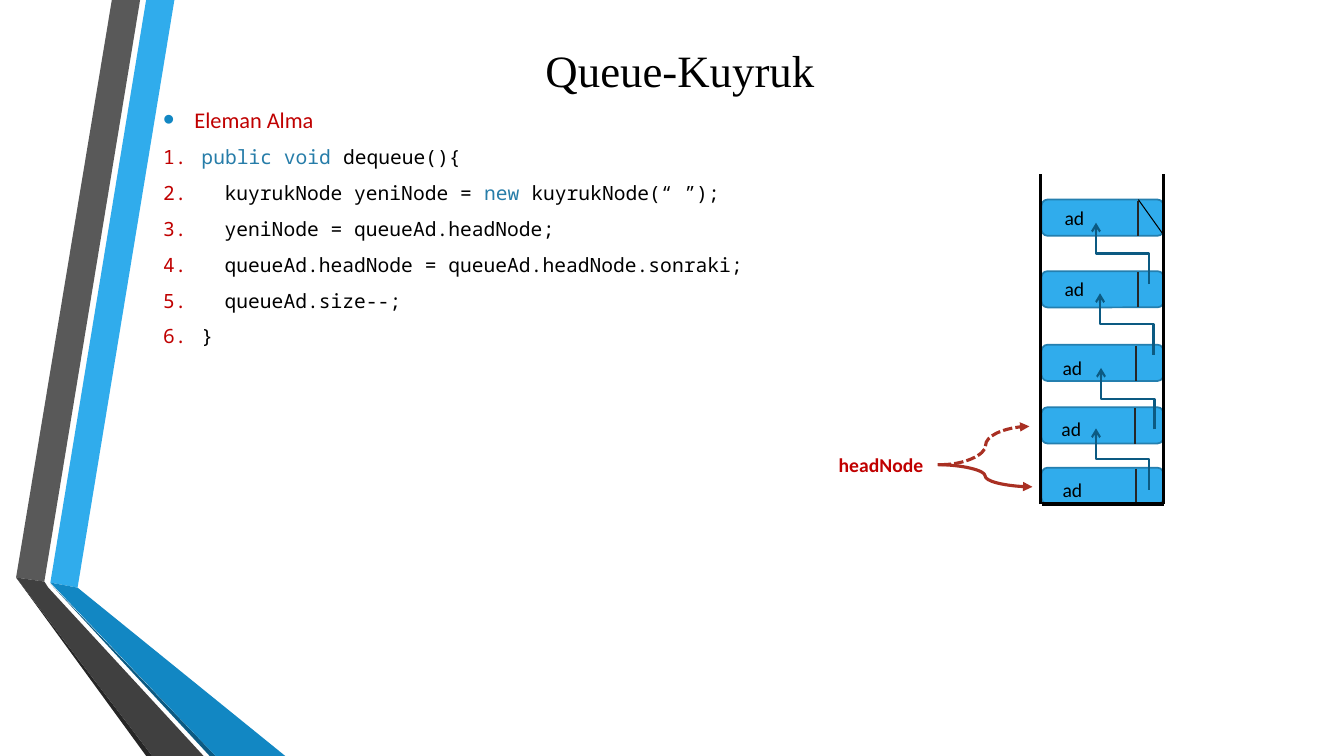
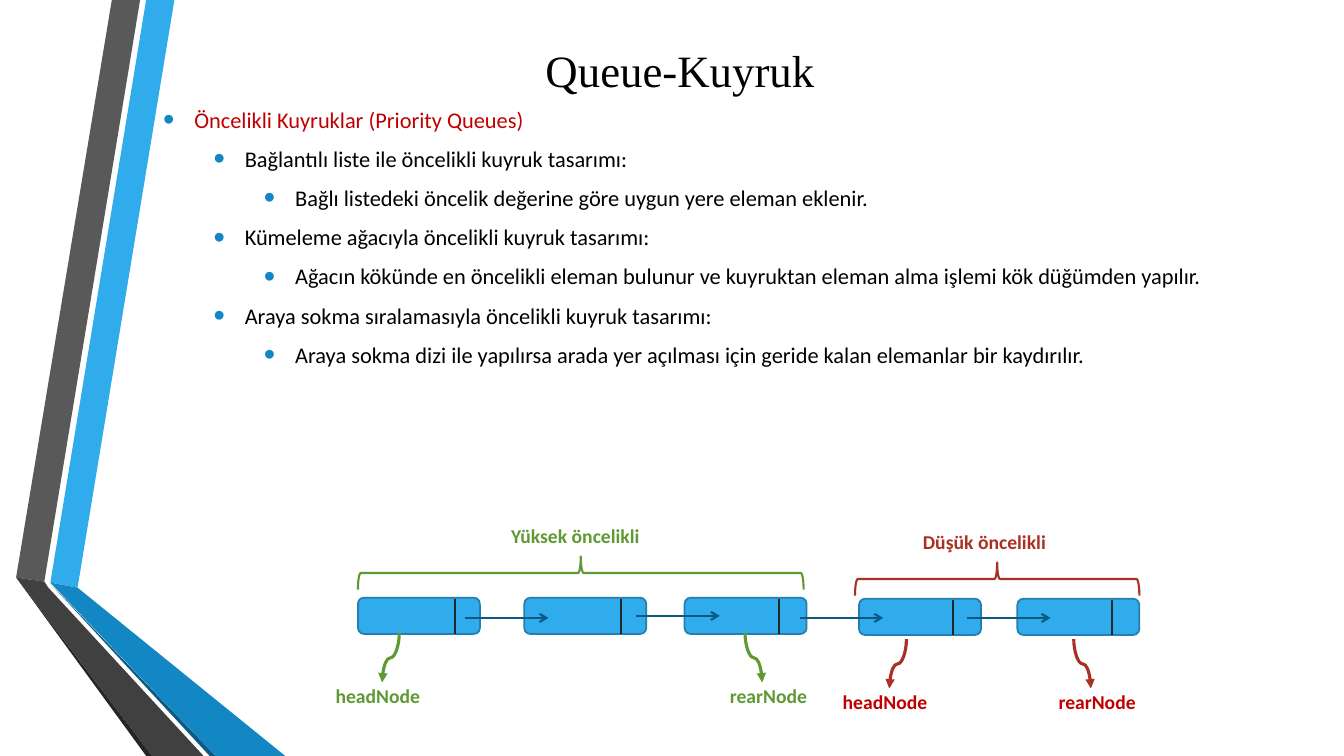
from dataclasses import dataclass

from lxml import etree
from pptx import Presentation
from pptx.dml.color import RGBColor
from pptx.enum.dml import MSO_LINE
from pptx.enum.shapes import MSO_CONNECTOR, MSO_SHAPE
from pptx.enum.text import MSO_ANCHOR, MSO_AUTO_SIZE, PP_ALIGN
from pptx.oxml.ns import qn
from pptx.util import Inches, Pt


@dataclass(frozen=True)
class Theme:
    """Colours, fonts and type sizes of the deck."""

    ink: str = "000000"
    red: str = "C00000"
    brick: str = "A93023"
    green: str = "5F9934"
    keyword: str = "277DA9"
    sky: str = "30ACEC"
    edge: str = "247FAF"
    blue: str = "1287C3"
    navy: str = "0C5A82"
    divider: str = "262626"
    slate: str = "595959"
    coal: str = "404040"
    title_font: str = "Times New Roman"
    body_font: str = "Calibri"
    code_font: str = "Noto Sans Mono"
    title_size: int = 32
    body_size: int = 16
    small_size: int = 14


THEME = Theme()
NODE_WIDTH, NODE_HEIGHT = 1.21, 0.36
RIBBONS = (
    (THEME.sky, ((0.5, 5.78), (0.77, 5.83), (1.73, 0), (1.45, 0))),
    (THEME.slate, ((1.39, 0), (1.11, 0), (0.16, 5.73), (0.44, 5.77))),
    (THEME.divider, ((0.16, 5.73), (1.45, 7.5), (1.51, 7.5))),
    (THEME.navy, ((0.5, 5.79), (2.08, 7.5), (2.14, 7.5))),
    (THEME.blue, ((0.5, 5.78), (2.14, 7.5), (2.83, 7.5), (0.77, 5.83))),
    (THEME.coal, ((2.02, 7.5), (0.48, 5.83), (0.44, 5.77), (0.16, 5.73), (1.51, 7.5))),
)


def colour(value):
    """Turn a hex value into a colour."""
    return RGBColor.from_string(value)


def add_child(parent, tag, **attributes):
    """Append a DrawingML element to parent."""
    child = etree.SubElement(parent, qn(tag))
    for name, value in attributes.items():
        child.set(name, str(value))
    return child


def style_span(span, size, value, font=THEME.body_font, bold=False):
    """Format one run."""
    span.font.name, span.font.size, span.font.bold = font, Pt(size), bold
    span.font.color.rgb = colour(value)


def add_ribbons(layout, page):
    """Draw the folded ribbons and hand them to the shared layout."""
    group = page.shapes.add_group_shape()
    for fill, points in RIBBONS:
        corners = [(Inches(x), Inches(y)) for x, y in points]
        builder = group.shapes.build_freeform(*corners[0], scale=1.0)
        builder.add_line_segments(corners[1:], close=True)
        ribbon = builder.convert_to_shape()
        ribbon.shadow.inherit = False
        ribbon.fill.solid()
        ribbon.fill.fore_color.rgb = colour(fill)
        ribbon.line.fill.background()
    layout.shapes.element.insert(2, group.element)


def place_title(page, text):
    """Move and format the title placeholder."""
    title = page.shapes.title
    title.left, title.top = Inches(1.55), Inches(0.17)
    title.width, title.height = Inches(10.39), Inches(1.04)
    frame = title.text_frame
    frame.text = text
    frame.auto_size = MSO_AUTO_SIZE.NONE
    frame.vertical_anchor = MSO_ANCHOR.MIDDLE
    para = frame.paragraphs[0]
    para.alignment = PP_ALIGN.CENTER
    style_span(para.runs[0], THEME.title_size, THEME.ink, THEME.title_font)


def add_body(page, left, top, width, height):
    """Add an empty wrapped text frame for the main text."""
    box = page.shapes.add_textbox(Inches(left), Inches(top), Inches(width), Inches(height))
    box.text_frame.word_wrap = True
    return box.text_frame


def start_para(frame, hang, margin, level=0):
    """Return the next paragraph, spaced and with a hanging indent."""
    first = frame.paragraphs[0]
    para = frame.add_paragraph() if first.runs else first
    para.level = level
    para.space_before, para.space_after = Pt(2.8), Pt(6)
    properties = para._p.get_or_add_pPr()
    properties.set("marL", str(Inches(margin)))
    properties.set("indent", str(-Inches(hang)))
    return para, properties


def add_bullet(frame, text, level=0):
    """Add a bulleted line; the top level is the red heading."""
    para, properties = start_para(frame, 0.31, 0.31 + level * 0.5, level)
    add_child(add_child(properties, "a:buClr"), "a:srgbClr", val=THEME.blue)
    add_child(properties, "a:buSzPct", val=145000)
    add_child(properties, "a:buFont", typeface="Arial")
    add_child(properties, "a:buChar", char="•")
    para.text = text
    style_span(para.runs[0], THEME.body_size, THEME.ink if level else THEME.red)


def add_code_line(frame, parts, depth):
    """Add a numbered code line made of (text, is_keyword) parts."""
    margin = 0.38 + depth * 0.23
    para, properties = start_para(frame, margin, margin)
    add_child(add_child(properties, "a:buClr"), "a:srgbClr", val=THEME.red)
    add_child(properties, "a:buFont", typeface=THEME.code_font)
    add_child(properties, "a:buAutoNum", type="arabicPeriod")
    for text, is_keyword in parts:
        span = para.add_run()
        span.text = text
        style_span(span, THEME.small_size, THEME.keyword if is_keyword else THEME.ink, THEME.code_font)


def add_label(page, left, top, width, text, value=THEME.ink, bold=True):
    """Add a one-line diagram label."""
    frame = add_body(page, left, top, width, 0.34)
    frame.text = text
    style_span(frame.paragraphs[0].runs[0], THEME.small_size, value, bold=bold)


def add_line(page, start, end, value, weight, kind=MSO_CONNECTOR.STRAIGHT, head=None, upright=False):
    """Add a connector; an upright one leaves and arrives vertically."""
    (x1, y1), (x2, y2) = start, end
    turn = 0
    if upright:
        across, down = x2 - x1, y2 - y1
        turn = 90 if across < 0 < down else 270
        run, rise = (down, -across) if turn == 90 else (-down, across)
        middle_x, middle_y = (x1 + x2) / 2, (y1 + y2) / 2
        x1, x2 = middle_x - run / 2, middle_x + run / 2
        y1, y2 = middle_y - rise / 2, middle_y + rise / 2
    line = page.shapes.add_connector(kind, Inches(x1), Inches(y1), Inches(x2), Inches(y2))
    line.line.color.rgb = colour(value)
    line.line.width = Pt(weight)
    properties = line._element.spPr
    if turn:
        properties.find(qn("a:xfrm")).set("rot", str(turn * 60000))
    if head:
        add_child(line.line._get_or_add_ln(), "a:tailEnd", type=head)
    add_child(properties, "a:effectLst")
    return line


def style_outline(shape, value, weight):
    """Give a shape a plain outline without shadow."""
    shape.shadow.inherit = False
    shape.line.color.rgb = colour(value)
    shape.line.width = Pt(weight)


def add_node(page, left, top, divider):
    """Draw a list node whose pointer field starts at divider."""
    node = page.shapes.add_shape(
        MSO_SHAPE.ROUNDED_RECTANGLE, Inches(left), Inches(top), Inches(NODE_WIDTH), Inches(NODE_HEIGHT)
    )
    style_outline(node, THEME.edge, 1.25)
    node.fill.solid()
    node.fill.fore_color.rgb = colour(THEME.sky)
    x = left + divider
    add_line(page, (x, top + 0.01), (x, top + NODE_HEIGHT), THEME.divider, 1.5)


def draw_queue(page, left, top, height):
    """Draw the upright queue with its linked nodes and head pointers."""
    nodes = ((0.25, 0.96, 0.01), (0.96, 0.96, 0.01), (1.69, 0.94, 0.06), (2.31, 0.93, 0.05), (2.91, 0.94, 0.05))
    for offset, divider, drop in nodes:
        add_node(page, left, top + offset, divider)
        add_label(page, left + divider - 0.83, top + offset + drop, 0.63, "ad", bold=False)
    right, bottom = left + NODE_WIDTH, top + height
    for start, end in (
        ((left, bottom), (right, bottom)),
        ((right, bottom), (right, top)),
        ((left - 0.01, bottom), (left - 0.01, top)),
    ):
        add_line(page, start, end, THEME.ink, 2.25)
    add_line(page, (left + 0.96, top + 0.25), (right, top + 0.6), THEME.ink, 0.75)
    for x, y in ((1.07, 1.09), (1.11, 1.79), (1.12, 2.53), (1.07, 3.13)):
        start = left + x, top + y
        end = start[0] - 0.53, start[1] - 0.61
        add_line(page, start, end, THEME.navy, 1.5, MSO_CONNECTOR.ELBOW, "arrow", upright=True)
    add_label(page, left - 2.11, top + 2.71, 1.12, "headNode", THEME.red)
    tail_y = top + 2.88
    for start_x, end_x, end_y, dash in ((1.03, 0.09, 3.1, None), (0.99, 0.12, 2.5, MSO_LINE.SQUARE_DOT)):
        pointer = add_line(
            page, (left - start_x, tail_y), (left - end_x, top + end_y),
            THEME.brick, 2.25, MSO_CONNECTOR.CURVE, "triangle",
        )
        if dash:
            pointer.line.dash_style = dash


def draw_priority_group(page, left, top, width, title, title_width, head_x, rear_x, shade, name_shade):
    """Draw a brace over one priority class, its title and end pointers."""
    depth = 0.33
    middle = left + width / 2
    brace = page.shapes.add_shape(
        MSO_SHAPE.LEFT_BRACE, Inches(middle - depth / 2), Inches(top + (depth - width) / 2),
        Inches(depth), Inches(width),
    )
    brace.rotation = 90
    brace.fill.background()
    style_outline(brace, shade, 1.5)
    add_label(page, middle - title_width / 2, top - 0.37, title_width, title, shade)
    pointer_top = top + 0.76
    for name, x, lean, shift in (("headNode", head_x, -0.17, 0.56), ("rearNode", rear_x, 0.17, 0.42)):
        start, end = (left + x, pointer_top), (left + x + lean, pointer_top + 0.49)
        add_line(page, start, end, shade, 2.25, MSO_CONNECTOR.CURVE, "triangle", upright=True)
        add_label(page, end[0] - shift, pointer_top + 0.46, 1.12, name, name_shade)


def draw_priority_chain(page, left, top):
    """Draw the linked list split into high and low priority."""
    nodes = ((0, 0, 0.96), (1.65, 0, 0.96), (3.24, 0, 0.94), (4.97, 0.01, 0.93), (6.54, 0.01, 0.94))
    for x, drop, divider in nodes:
        add_node(page, left + x, top + 0.79 + drop, divider)
    for x, y in ((1.06, 0.99), (2.76, 0.97), (4.38, 0.99), (6.04, 0.99)):
        start = left + x, top + y
        add_line(page, start, (start[0] + 0.83, start[1]), THEME.navy, 1.5, head="arrow")
    draw_priority_group(
        page, left, top + 0.38, 4.42, "Yüksek öncelikli", 1.58, 0.41, 3.84, THEME.green, THEME.green
    )
    draw_priority_group(
        page, left + 4.93, top + 0.44, 2.82, "Düşük öncelikli", 1.67, 0.51, 2.17, THEME.brick, THEME.red
    )


def build_dequeue(page):
    """Fill the slide about taking an element out."""
    place_title(page, "Queue-Kuyruk")
    frame = add_body(page, 1.52, 1, 7.68, 6.24)
    add_bullet(frame, "Eleman Alma")
    for depth, parts in (
        (0, (("public void ", True), ("dequeue(){", False))),
        (1, (("kuyrukNode yeniNode = ", False), ("new ", True), ("kuyrukNode(“ ”);", False))),
        (1, (("yeniNode = queueAd.headNode;", False),)),
        (1, (("queueAd.headNode = queueAd.headNode.sonraki;", False),)),
        (1, (("queueAd.size--;", False),)),
        (0, (("}", False),)),
    ):
        add_code_line(frame, parts, depth)
    draw_queue(page, 10.33, 1.73, 3.27)


def build_priority(page):
    """Fill the slide about priority queues."""
    place_title(page, "Queue-Kuyruk")
    frame = add_body(page, 1.52, 1, 11.37, 3.68)
    for level, text in (
        (0, "Öncelikli Kuyruklar (Priority Queues)"),
        (1, "Bağlantılı liste ile öncelikli kuyruk tasarımı:"),
        (2, "Bağlı listedeki öncelik değerine göre uygun yere eleman eklenir."),
        (1, "Kümeleme ağacıyla öncelikli kuyruk tasarımı:"),
        (2, "Ağacın kökünde en öncelikli eleman bulunur ve kuyruktan eleman alma işlemi kök düğümden yapılır."),
        (1, "Araya sokma sıralamasıyla öncelikli kuyruk tasarımı:"),
        (2, "Araya sokma dizi ile yapılırsa arada yer açılması için geride kalan elemanlar bir kaydırılır."),
    ):
        add_bullet(frame, text, level)
    draw_priority_chain(page, 3.55, 5.14)


deck = Presentation()
deck.slide_width, deck.slide_height = Inches(13.33), Inches(7.5)
title_only = deck.slide_layouts[5]
pages = [deck.slides.add_slide(title_only) for _ in range(2)]
add_ribbons(title_only, pages[0])
build_dequeue(pages[0])
build_priority(pages[1])
deck.save("out.pptx")
